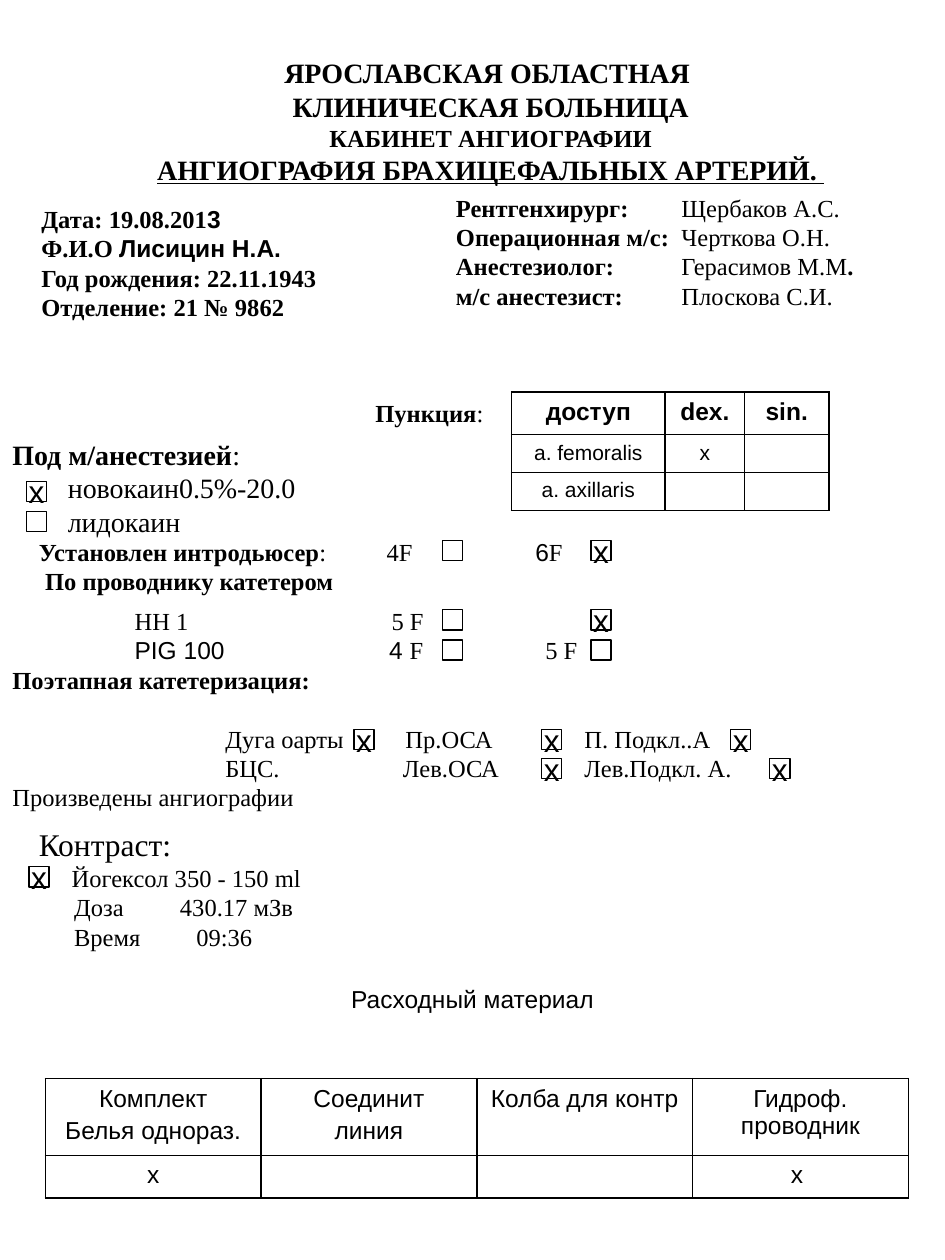
from lxml import etree
from pptx import Presentation
from pptx import util as u
from pptx.dml.color import RGBColor
from pptx.enum import shapes, text
from pptx.oxml.ns import qn

Inches, Pt = u.Inches, u.Pt
COLORS = {"ink": "000000"}
SERIF, SANS = "Times New Roman", "Arial"
BOLD, PLAIN = {"bold": True}, {"bold": False}
BOX_SIZE = 0.16


def color(name):
    return RGBColor.from_string(COLORS[name])


def write(paragraph, content, size=14, font=SERIF, bold=False, underline=False,
          align=text.PP_ALIGN.LEFT, indent=0, tabs=(), before=0):
    paragraph.alignment = align
    properties = paragraph._p.get_or_add_pPr()
    if indent:
        properties.set("marL", str(Inches(indent)))
        properties.set("indent", "0")
    if tabs:
        tab_list = etree.SubElement(properties, qn("a:tabLst"))
        for position in tabs:
            etree.SubElement(tab_list, qn("a:tab"), pos=str(Inches(position)), algn="l")
    if before:
        paragraph.space_before = Pt(before)
    runs = [(content, {})] if isinstance(content, str) else content
    for words, changes in runs:
        run = paragraph.add_run()
        run.text = words
        style = {"size": size, "font": font, "bold": bold, **changes}
        run.font.size = Pt(style["size"])
        run.font.name = style["font"]
        run.font.bold = style["bold"]
        run.font.underline = underline
        run.font.color.rgb = color("ink")


def write_lines(frame, lines, **common):
    for index, (content, changes) in enumerate(lines):
        paragraph = frame.add_paragraph() if index else frame.paragraphs[0]
        write(paragraph, content, **{**common, **changes})


def add_text(slide, left, top, width, height, lines, middle=False, **common):
    shape = slide.shapes.add_textbox(*map(Inches, (left, top, width, height)))
    frame = shape.text_frame
    frame.word_wrap = True
    frame.vertical_anchor = text.MSO_ANCHOR.MIDDLE if middle else text.MSO_ANCHOR.TOP
    write_lines(frame, lines, **common)


def add_checkbox(slide, left, top, checked):
    shape = slide.shapes.add_shape(shapes.MSO_SHAPE.RECTANGLE, Inches(left), Inches(top),
                                   Inches(BOX_SIZE), Inches(BOX_SIZE))
    shape.shadow.inherit = False
    shape.fill.background()
    shape.line.color.rgb = color("ink")
    shape.line.width = Pt(0.75)
    if checked:
        frame = shape.text_frame
        frame.word_wrap = False
        frame.vertical_anchor = text.MSO_ANCHOR.MIDDLE
        write(frame.paragraphs[0], "х", size=18, font=SANS, align=text.PP_ALIGN.CENTER)


def add_borders(cell):
    properties = cell._tc.get_or_add_tcPr()
    for index, side in enumerate(("lnL", "lnR", "lnT", "lnB")):
        line = etree.Element(qn(f"a:{side}"), w=str(Pt(1)))
        fill = etree.SubElement(line, qn("a:solidFill"))
        etree.SubElement(fill, qn("a:srgbClr"), val=COLORS["ink"])
        properties.insert(index, line)


def add_table(slide, left, top, columns, heights, rows, sizes):
    frame = slide.shapes.add_table(len(rows), len(columns), Inches(left), Inches(top),
                                   Inches(sum(columns)), Inches(sum(heights)))
    table = frame.table
    table.first_row = table.horz_banding = False
    for column, width in zip(table.columns, columns):
        column.width = Inches(width)
    for row, height in zip(table.rows, heights):
        row.height = Inches(height)
    for r, (values, (size, bold)) in enumerate(zip(rows, sizes)):
        for c, value in enumerate(values):
            cell = table.cell(r, c)
            cell.fill.background()
            cell.margin_left = cell.margin_right = Inches(0.08)
            add_borders(cell)
            if value:
                lines = [(line, {"before": 0.2 * size if i else 0})
                         for i, line in enumerate(value.split("\n"))]
                write_lines(cell.text_frame, lines, size=size, font=SANS, bold=bold,
                            align=text.PP_ALIGN.CENTER)
            else:
                paragraph = cell.text_frame.paragraphs[0]._p
                etree.SubElement(paragraph, qn("a:endParaRPr"), sz=str(size * 100))


def add_header(slide):
    add_text(slide, 0.52, 0.35, 6.75, 1.22, [
        ("ЯРОСЛАВСКАЯ ОБЛАСТНАЯ ", {}),
        ("КЛИНИЧЕСКАЯ БОЛЬНИЦА", {}),
        ("КАБИНЕТ АНГИОГРАФИИ", {"size": 14}),
        ("АНГИОГРАФИЯ БРАХИЦЕФАЛЬНЫХ АРТЕРИЙ. ", {"underline": True}),
    ], middle=True, size=16, bold=True, align=text.PP_ALIGN.CENTER)
    add_text(slide, 0.23, 1.25, 2.58, 1.67, [
        ([("Дата: 19.08.201", {}), ("3", {"font": SANS})], {}),
        ([("Ф.И.О ", {}), ("Лисицин Н.А.", {"font": SANS})], {}),
        ("Год рождения: 22.11.1943", {}),
        ("Отделение: 21 № 9862", {}),
    ], middle=True, bold=True)
    staff = [("Рентгенхирург:", "Щербаков А.С.", ""),
             ("Операционная м/с:", "Черткова О.Н.", ""),
             ("Анестезиолог:", "Герасимов М.М", "."),
             ("м/с анестезист:", "Плоскова С.И.", "")]
    lines = []
    for role, name, ending in staff:
        runs = [(role + "\t", BOLD), (name, PLAIN)]
        lines.append((runs + [(ending, BOLD)] if ending else runs, {}))
    add_text(slide, 3.52, 1.48, 3.75, 1.04, lines, tabs=(1.79,))


def add_procedure(slide):
    add_text(slide, 0, 3.36, 3.42, 1.02, [
        ([("Под м/анестезией", BOLD), (":", {})], {}),
        ("новокаин0.5%-20.0", {"indent": 0.44}),
        ("лидокаин", {"indent": 0.44}),
    ], middle=True, size=16)
    add_text(slide, 2.88, 3.11, 1.15, 0.33, [([("Пункция", BOLD), (":", {})], {})])
    add_text(slide, 0.21, 4.21, 6.32, 0.57, [
        ([("Установлен интродьюсер", BOLD), (":\t4F\t", {}), ("6", {"font": SANS}), ("F", {})],
         {"tabs": (2.76, 3.94)}),
        ("По проводнику катетером", {"bold": True, "indent": 0.05}),
    ])
    add_text(slide, 0, 4.76, 7.5, 1.75, [
        ("\tНН 1\t5 F", {"tabs": (0.97, 3.01)}),
        ([("\tРIG 100\t4 ", {"font": SANS}), ("F\t5 F", {})], {"tabs": (0.97, 2.99, 4.23)}),
        ("Поэтапная катетеризация:", {"bold": True}),
        ("\tДуга оарты\tПр.ОСА\tП. Подкл..А", {"tabs": (1.69, 3.12, 4.54), "before": 16.8}),
        ("\tБЦС.\tЛев.ОСА\tЛев.Подкл. А.", {"tabs": (1.69, 3.1, 4.54)}),
        ("Произведены ангиографии", {}),
    ])
    add_text(slide, 0.21, 6.5, 3.72, 1.15, [
        ("Контраст:", {"size": 18}),
        ("Йогексол 350 - 150 ml", {"indent": 0.26}),
        ("\tДоза\t430.17 мЗв", {"tabs": (0.28, 1.12)}),
        ("\tВремя\t09:36", {"tabs": (0.28, 1.25)}),
    ])
    add_text(slide, 0, 7.76, 7.5, 0.4, [("Расходный материал", {})],
             font=SANS, align=text.PP_ALIGN.CENTER)


def main():
    presentation = Presentation()
    presentation.slide_width, presentation.slide_height = Inches(7.5), Inches(10)
    slide = presentation.slides.add_slide(presentation.slide_layouts[6])
    add_header(slide)
    add_procedure(slide)
    add_table(slide, 4.06, 3.11, (1.22, 0.63, 0.67), (0.34, 0.3, 0.3), [
        ("доступ", "dex.", "sin."),
        ("a. femoralis", "х", ""),
        ("a. axillaris", "", ""),
    ], [(14, True), (12, False), (12, False)])
    add_table(slide, 0.36, 8.56, (6.85 / 4,) * 4, (0.61, 0.34), [
        ("Комплект\nБелья однораз.", "Соединит\nлиния", "Колба для контр", "Гидроф. проводник"),
        ("х", "", "", "х "),
    ], [(14, False), (14, False)])
    checked = [(0.21, 3.82), (4.69, 4.29), (4.69, 4.84), (2.81, 5.79), (4.3, 5.79),
               (5.8, 5.79), (4.3, 6.02), (6.11, 6.02), (0.23, 6.88)]
    unchecked = [(0.21, 4.06), (3.51, 4.29), (3.51, 4.84), (3.51, 5.08), (4.69, 5.08)]
    for positions, state in ((checked, True), (unchecked, False)):
        for left, top in positions:
            add_checkbox(slide, left, top, state)
    presentation.save("out.pptx")


if __name__ == "__main__":
    main()
